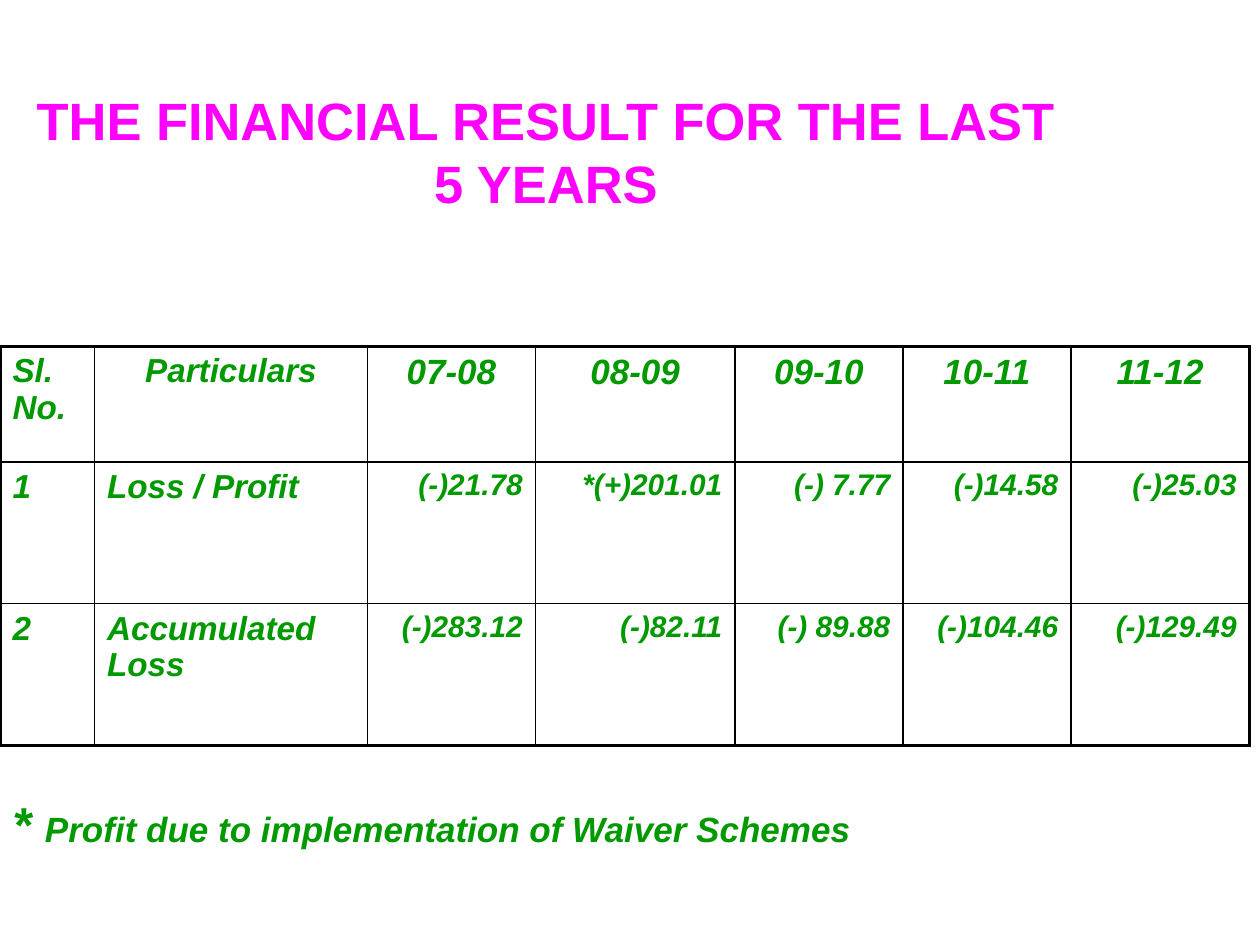
from lxml.etree import SubElement
from pptx import Presentation
from pptx.dml.color import RGBColor
from pptx.enum.text import MSO_ANCHOR, MSO_AUTO_SIZE, PP_ALIGN
from pptx.oxml import parse_xml
from pptx.oxml.ns import nsdecls, qn
from pptx.util import Pt

GREEN = RGBColor(0x00, 0x99, 0x00)
PINK = RGBColor(0xFF, 0x00, 0xFF)
BLACK = RGBColor(0x00, 0x00, 0x00)

WIDTHS = [54, 156, 96, 114, 96, 96, 102]
HEIGHTS = [66, 81, 81]
ROWS = [
    ["Sl. No.", "Particulars", "07-08", "08-09", "09-10", "10-11", "11-12"],
    ["1", "Loss / Profit", "(-)21.78", "*(+)201.01", "(-) 7.77", "(-)14.58", "(-)25.03"],
    ["2", "Accumulated Loss", "(-)283.12", "(-)82.11", "(-) 89.88", "(-)104.46", "(-)129.49"],
]


def write(frame, text, size, color=GREEN, italic=True, align=PP_ALIGN.LEFT):
    """Add a run to the frame's first paragraph."""
    para = frame.paragraphs[0]
    para.alignment = align
    run = para.add_run()
    run.text = text
    font = run.font
    font.name, font.size, font.bold, font.italic = "Arial", Pt(size), True, italic
    font.color.rgb = color


def rule(cell, edges):
    """Draw the cell's borders; edges are (tag, width) in schema order."""
    props = cell._tc.get_or_add_tcPr()
    for i, (tag, width) in enumerate(edges):
        line = parse_xml(f'<a:{tag} {nsdecls("a")} w="{Pt(width)}"/>')
        fill = SubElement(line, qn("a:solidFill"))
        SubElement(fill, qn("a:srgbClr"), val=str(BLACK))
        props.insert(i, line)


deck = Presentation()
deck.slide_width, deck.slide_height = Pt(720), Pt(540)
slide = deck.slides.add_slide(deck.slide_layouts[5])

# Title
title = slide.shapes.title
title.left, title.top, title.width, title.height = Pt(6), Pt(29), Pt(612), Pt(115)
frame = title.text_frame
frame.auto_size = MSO_AUTO_SIZE.NONE
frame.vertical_anchor = MSO_ANCHOR.MIDDLE
write(frame, "THE FINANCIAL RESULT FOR THE LAST 5 YEARS", 30,
      color=PINK, italic=False, align=PP_ALIGN.CENTER)

# Results table
table = slide.shapes.add_table(len(HEIGHTS), len(WIDTHS), Pt(0), Pt(198),
                               Pt(sum(WIDTHS)), Pt(sum(HEIGHTS))).table
table.first_row = table.horz_banding = False
for col, width in zip(table.columns, WIDTHS):
    col.width = Pt(width)
for row, height in zip(table.rows, HEIGHTS):
    row.height = Pt(height)

for r, texts in enumerate(ROWS):
    for c, text in enumerate(texts):
        cell = table.cell(r, c)
        cell.fill.background()
        if c < 2:
            size = 19
        else:
            size = 20 if r == 0 else 17
        if r == 0 and c > 0:
            align = PP_ALIGN.CENTER
        else:
            align = PP_ALIGN.RIGHT if c > 1 else PP_ALIGN.LEFT
        write(cell.text_frame, text, size, align=align)
        outer = [("lnL", c == 0), ("lnR", c == len(WIDTHS) - 1),
                 ("lnT", r == 0), ("lnB", r == len(HEIGHTS) - 1)]
        rule(cell, [(tag, 2.25 if edge else 1) for tag, edge in outer])

# Footnote
note = slide.shapes.add_textbox(Pt(0), Pt(450), Pt(720), Pt(41)).text_frame
note.word_wrap = True
note.paragraphs[0].space_before = Pt(2)
write(note, "* ", 28)
write(note, "Profit due to implementation of Waiver Schemes", 20)

deck.save("out.pptx")
